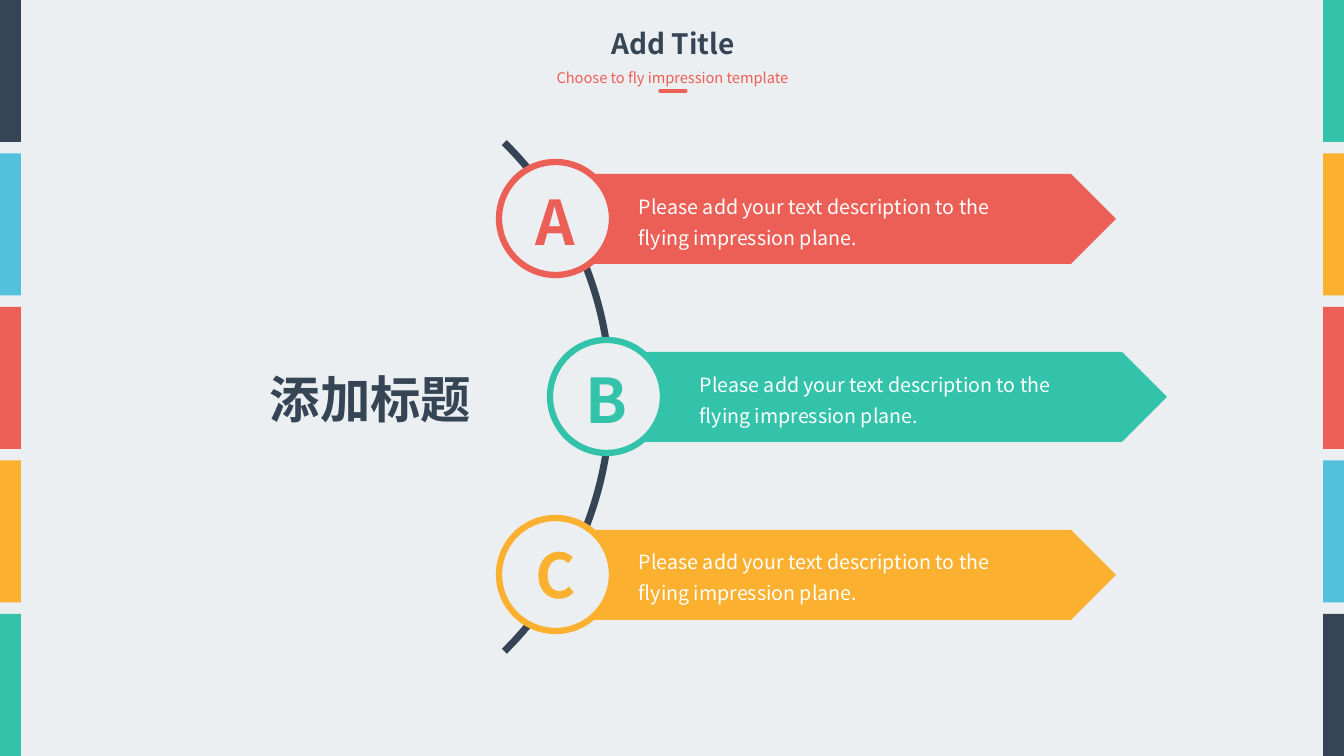
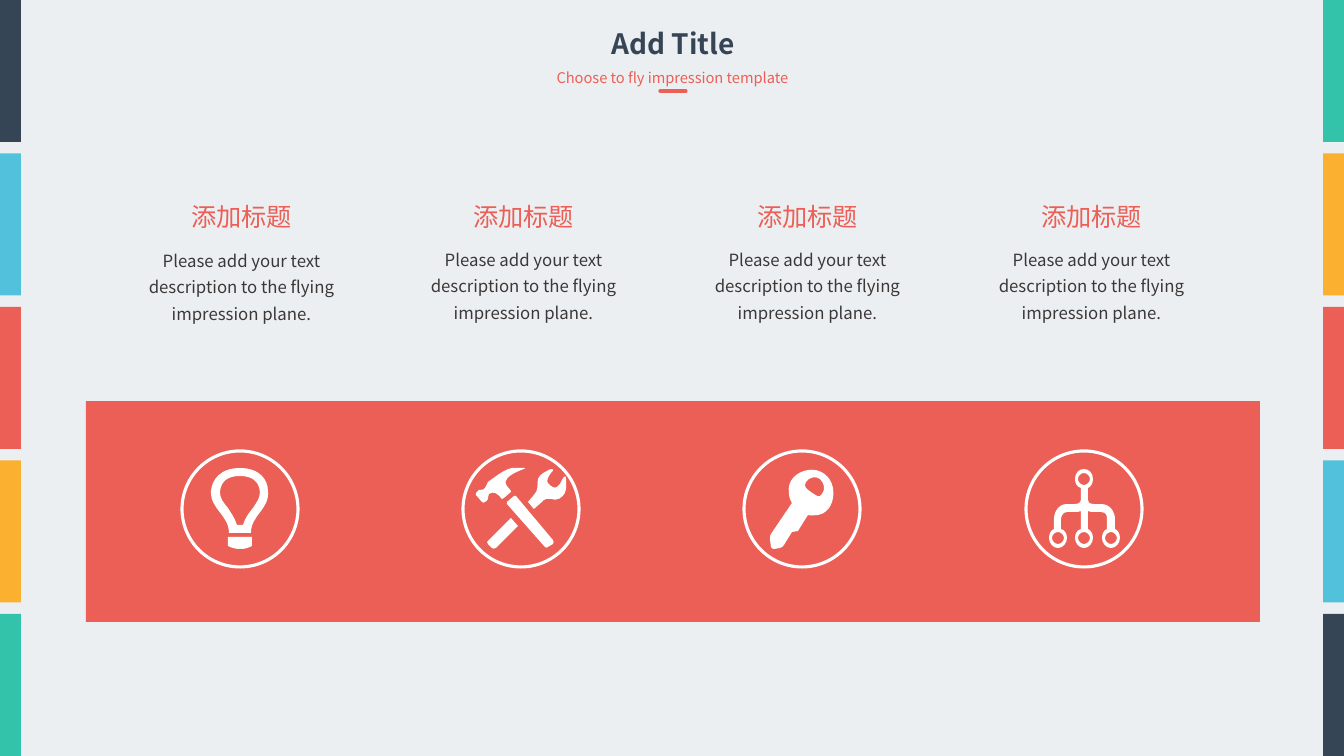
import lxml.etree
import pptx
import pptx.util
import pptx.dml.color
import pptx.enum.shapes
import pptx.enum.text
import pptx.oxml.ns

KIND = pptx.enum.shapes.MSO_SHAPE
ALIGN = pptx.enum.text.PP_ALIGN
qn = pptx.oxml.ns.qn
FONT = "Noto Sans CJK SC"
WIDE, HIGH = 1344, 756
COLORS = {
    "navy": "364555", "sky": "52C2DC", "coral": "EB5F56", "amber": "FCB030",
    "teal": "33C3AB", "paper": "ECEFF1", "white": "FFFFFF", "ink": "3B3838",
}
BANDS = ["navy", "sky", "coral", "amber", "teal"]

TITLE = "Add Title"
TAG = "Choose to fly impression template"
HEAD = "添加标题"
BODY = "Please add your text description to the flying impression plane."

# letter, colour, left of the circle, top of the letter, left and top of text
ROWS = [
    ("A", "coral", 499, 179, 629, 183),
    ("B", "teal", 550, 357, 690, 361),
    ("C", "amber", 499, 532, 629, 538),
]


def hole(x, y):
    """Outline of a round hole of radius 6."""
    return [(x - 6, y),
            (x - 6, y - 3, x - 3, y - 6, x, y - 6),
            (x + 3, y - 6, x + 6, y - 3, x + 6, y),
            (x + 6, y + 3, x + 3, y + 6, x, y + 6),
            (x - 3, y + 6, x - 6, y + 3, x - 6, y)]


# Outlines in px around the ring's centre: pairs are corners,
# sixes are cubic curves (two handles and an end).
BULB = [
    [(-12, 37), (-8, 39, -4, 40, 0, 40), (5, 40, 8, 39, 12, 37),
     (12, 28), (-12, 28)],
    [(11, 24), (11, 6, 30, 0, 28, -18), (28, -29, 20, -41, 0, -41),
     (-20, -41, -28, -29, -29, -18), (-30, 0, -11, 6, -11, 24)],
    [(-20, -17), (-19, -28, -12, -33, 0, -33), (12, -33, 19, -28, 20, -17),
     (20, -11, 17, -7, 13, -1), (9, 4, 5, 9, 3, 16), (-3, 16),
     (-5, 9, -9, 4, -12, -1), (-17, -7, -20, -11, -20, -17)],
]
TOOLS = [
    [(-32, -15), (-27, -18, -24, -16, -19, -10), (-17, -11), (-10, -17),
     (-10, -18), (-11, -19, -12, -21, -14, -23), (-22, -34, 9, -41, 4, -41),
     (-9, -41), (-15, -40, -22, -35, -26, -32), (-33, -27),
     (-35, -26, -33, -23, -36, -21), (-38, -18, -40, -20, -42, -19),
     (-45, -16), (-45, -14), (-39, -7), (-38, -6, -37, -6, -36, -7),
     (-35, -7, -33, -9, -33, -10), (-33, -10, -33, -13, -32, -15)],
    [(-5, -13), (-7, -13), (-14, -7), (-14, -5), (24, 38),
     (25, 39, 26, 39, 27, 38), (32, 35), (33, 34, 33, 32, 32, 31)],
    [(45, -31), (45, -33, 44, -33, 43, -32), (42, -31, 40, -27, 39, -25),
     (37, -23, 35, -19, 30, -23), (25, -27, 26, -29, 27, -31),
     (28, -33, 31, -38, 32, -38), (32, -39, 32, -41, 30, -40),
     (28, -39, 18, -35, 17, -30), (16, -24, 18, -19, 13, -14),
     (7, -7), (13, 0), (21, -7), (22, -9, 26, -11, 30, -10),
     (37, -8, 41, -11, 44, -16), (46, -20, 45, -29, 45, -31)],
    [(-33, 32), (-34, 32, -34, 34, -33, 35), (-29, 39),
     (-28, 40, -27, 40, -25, 39), (-3, 17), (-10, 9)],
]
KEY = [
    [(31, -21), (29, -33, 18, -41, 6, -39), (-6, -37, -15, -28, -13, -16),
     (-13, -13, -12, -9, -10, -6), (-31, 25), (-32, 26, -32, 28, -32, 30),
     (-31, 38), (-31, 39, -29, 40, -28, 40), (-22, 39),
     (-20, 39, -19, 37, -18, 36), (-10, 23), (-4, 22), (6, 6),
     (9, 7, 14, 6, 16, 6), (28, 4, 33, -9, 31, -21)],
    [(20, -15), (17, -10, 14, -14, 9, -17), (5, -20, 1, -22, 4, -27),
     (7, -32, 14, -33, 18, -30), (22, -26, 24, -20, 20, -15)],
]
TREE = [
    [(31, 20), (31, 10), (31, 4, 27, -5, 17, -5), (10, -5),
     (5, -5, 4, -7, 4, -9), (4, -21), (7, -22, 9, -26, 9, -30),
     (9, -36, 5, -40, 0, -40), (-5, -40, -9, -36, -9, -30),
     (-9, -26, -7, -22, -3, -21), (-3, -9), (-3, -8, -4, -5, -9, -5),
     (-17, -5), (-26, -5, -30, 4, -30, 10), (-30, 20),
     (-33, 21, -35, 25, -35, 29), (-35, 34, -31, 39, -26, 39),
     (-21, 39, -17, 34, -17, 29), (-17, 25, -19, 21, -23, 20), (-23, 10),
     (-23, 9, -22, 3, -17, 3), (-9, 3), (-7, 3, -5, 3, -3, 2), (-3, 20),
     (-7, 21, -9, 25, -9, 29), (-9, 34, -5, 39, 0, 39),
     (5, 39, 9, 34, 9, 29), (9, 25, 7, 21, 4, 20), (4, 2),
     (5, 3, 8, 3, 10, 3), (17, 3), (23, 3, 23, 8, 23, 10), (23, 20),
     (20, 21, 18, 25, 18, 29), (18, 34, 22, 39, 27, 39),
     (32, 39, 36, 34, 36, 29), (36, 25, 34, 21, 31, 20)],
    hole(-26, 29), hole(0, -30), hole(0, 29), hole(27, 29),
]

# outlines, left of the ring, left and top of the text
COLUMNS = [
    (BULB, 182, 126, 240),
    (TOOLS, 463, 408, 239),
    (KEY, 744, 692, 239),
    (TREE, 1026, 976, 239),
]


def px(n):
    return round(n * 914400 / 100.8)


def rgb(name):
    return pptx.dml.color.RGBColor.from_string(COLORS[name])


def paint(shape, fill=None, line=None, width=0):
    shape.shadow.inherit = False
    if fill:
        shape.fill.solid()
        shape.fill.fore_color.rgb = rgb(fill)
    else:
        shape.fill.background()
    if line:
        shape.line.color.rgb = rgb(line)
        shape.line.width = pptx.util.Pt(width)
    else:
        shape.line.fill.background()
    return shape


def draw(shapes, kind, box, **look):
    return paint(shapes.add_shape(kind, *map(px, box)), **look)


def write(frame, text, size, color, bold=False, align=ALIGN.CENTER,
          space=1.0, wrap=True):
    frame.word_wrap = wrap
    frame.auto_size = pptx.enum.text.MSO_AUTO_SIZE.NONE
    frame.vertical_anchor = pptx.enum.text.MSO_ANCHOR.TOP
    para = frame.paragraphs[0]
    para.alignment = align
    para.line_spacing = space
    run = para.add_run()
    run.text = text
    font = run.font
    font.size = pptx.util.Pt(size)
    font.bold = bold
    font.color.rgb = rgb(color)
    font.name = FONT
    east = lxml.etree.SubElement(run._r.get_or_add_rPr(), qn("a:ea"))
    east.set("typeface", FONT)


def label(shapes, box, *args, **look):
    write(shapes.add_textbox(*map(px, box)).text_frame, *args, **look)


def icon(shapes, outlines, x, y):
    """Build the outline from its corners, then bend the curved parts."""
    spots = [[[px((x, y)[k % 2] + n) for k, n in enumerate(part)]
              for part in outline] for outline in outlines]
    pen = shapes.build_freeform(*spots[0][0], scale=1.0)
    for i, outline in enumerate(spots):
        if i:
            pen.move_to(*outline[0])
        pen.add_line_segments([part[-2:] for part in outline[1:]], close=True)
    shape = paint(pen.convert_to_shape(), fill="white")
    parts = [part for outline in spots for part in outline[1:]]
    for node, part in zip(list(shape._element.iter(qn("a:lnTo"))), parts):
        if len(part) == 2:
            continue
        bend = lxml.etree.Element(qn("a:cubicBezTo"))
        for a, b in zip(part[::2], part[1::2]):
            lxml.etree.SubElement(bend, qn("a:pt"), x=str(a - shape.left),
                                  y=str(b - shape.top))
        node.getparent().replace(node, bend)


def start(deck):
    """Add a slide with the shared title, tag line and side bands."""
    slide = deck.slides.add_slide(deck.slide_layouts[5])
    shapes = slide.shapes
    title = shapes.title
    title.left, title.top, title.width, title.height = map(
        px, (598, 21, 150, 44))
    write(title.text_frame, TITLE, 20, "navy", bold=True, wrap=False)
    label(shapes, (496, 59, 353, 31), TAG, 10.5, "coral", space=1.3)
    rule = shapes.add_connector(pptx.enum.shapes.MSO_CONNECTOR.STRAIGHT,
                                *map(px, (660, 91, 686, 91)))
    rule.line.color.rgb = rgb("coral")
    rule.line.width = pptx.util.Pt(2.25)
    props = rule._element.spPr
    props.find(qn("a:ln")).set("cap", "rnd")
    lxml.etree.SubElement(props, qn("a:effectLst"))
    wide, high = 21, 142
    step = (HIGH - high) / (len(BANDS) - 1)
    for x, names in ((0, BANDS), (WIDE - wide, BANDS[::-1])):
        for i, name in enumerate(names):
            draw(shapes, KIND.RECTANGLE, (x, i * step, wide, high), fill=name)
    return shapes


def arrows(deck):
    shapes = start(deck)
    arc = draw(shapes, KIND.BLOCK_ARC, (-106, 38, 718, 718),
               line="navy", width=3)
    for i, value in enumerate((189, 27, 0.004)):
        arc.adjustments[i] = value
    lxml.etree.SubElement(arc._element.spPr.find(qn("a:ln")),
                          qn("a:miter"), lim="800000")
    for i, (letter, color, x, high, left, top) in enumerate(ROWS):
        y = 162 + 178 * i
        group = shapes.add_group_shape().shapes
        draw(group, KIND.PENTAGON, (x + 79, y + 12, 538, 90), fill=color)
        draw(group, KIND.OVAL, (x, y, 113, 113),
             fill="paper", line=color, width=4.5)
        label(group, (x + 15, high, 83, 85), letter, 44, color, bold=True)
        label(group, (left, top, 418, 69), BODY, 14, "white",
              align=ALIGN.LEFT, space=1.3)
    label(shapes, (251, 363, 239, 72), HEAD, 36, "navy", bold=True)


def icons(deck):
    shapes = start(deck)
    draw(shapes, KIND.RECTANGLE, (86, 401, 1174, 221), fill="coral")
    y, ring = 451, 116
    for outlines, x, left, top in COLUMNS:
        group = shapes.add_group_shape().shapes
        icon(group, outlines, x + ring / 2, y + ring / 2)
        draw(group, KIND.OVAL, (x, y, ring, ring), line="white", width=2.25)
        label(shapes, (left, 196, 231, 40), HEAD, 18, "coral")
        label(shapes, (left, top, 231, 87), BODY, 12, "ink", space=1.3)


def main():
    deck = pptx.Presentation()
    deck.slide_width, deck.slide_height = px(WIDE), px(HIGH)
    back = deck.slide_master.background.fill
    back.solid()
    back.fore_color.rgb = rgb("paper")
    arrows(deck)
    icons(deck)
    deck.save("out.pptx")


if __name__ == "__main__":
    main()
